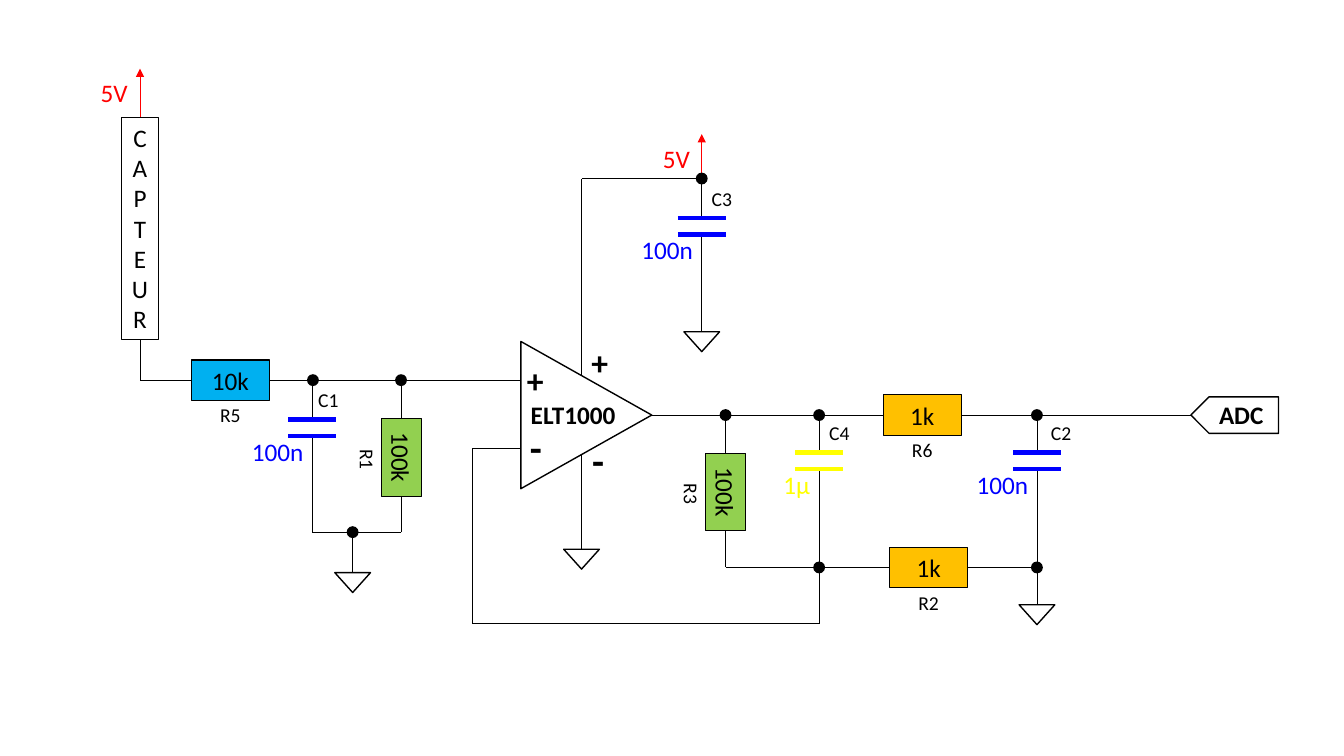
"""Draw the sensor amplifier circuit as one slide."""
from lxml.etree import SubElement
from pptx import Presentation
from pptx.dml.color import RGBColor
from pptx.enum.shapes import MSO_CONNECTOR as LINK, MSO_SHAPE as SHAPE
from pptx.enum.text import MSO_AUTO_SIZE as FIT, PP_ALIGN as ALIGN
from pptx.oxml.ns import qn
from pptx.util import Cm, Pt

BLACK, WHITE, RED, BLUE = "000000", "FFFFFF", "FF0000", "0000FF"
YELLOW, CYAN, GREEN, AMBER = "FFFF00", "00B0F0", "92D050", "FFC000"

SENSOR = ("CAPTEUR", 3.53, 5.75, 0.92, 5.6)
RESISTOR_SIZE = (1.96, 1.02)
# name, value, centre x, centre y, fill, rotation, outline
RESISTORS = [
    ("R5", "10k", 5.81, 9.58, CYAN, 0, 1),
    ("R1", "100k", 10.12, 11.53, GREEN, 90, 0.75),
    ("R3", "100k", 18.29, 12.4, GREEN, 90, 0.75),
    ("R6", "1k", 23.25, 10.46, AMBER, 0, 0.75),
    ("R2", "1k", 23.41, 14.3, AMBER, 0, 0.75),
]
# name, value, x, wire top, upper plate, wire bottom, colour, name shift, value shift
CAPACITORS = [
    ("C1", "100n", 7.87, 9.58, 10.57, 13.41, BLUE, -0.1, -1.77),
    ("C4", "1µ", 20.65, 10.46, 11.4, 15.72, YELLOW, 0, -1.15),
    ("C2", "100n", 26.14, 10.46, 11.4, 15.24, BLUE, 0.1, -1.77),
    ("C3", "100n", 17.69, 4.5, 5.49, 8.36, BLUE, 0, -1.77),
]
PLATE_HALF, PLATE_GAP = 0.6, 0.42
WIRES = [
    [(3.53, 8.55), (3.53, 9.58), (4.83, 9.58)],
    [(6.79, 9.58), (13.11, 9.58)],
    [(10.12, 9.58), (10.12, 10.55)],
    [(10.12, 12.51), (10.12, 13.41), (7.87, 13.41)],
    [(8.89, 13.41), (8.89, 14.43)],
    [(16.41, 10.46), (22.27, 10.46)],
    [(18.29, 10.46), (18.29, 11.42)],
    [(18.29, 13.38), (18.29, 14.3), (22.43, 14.3)],
    [(24.39, 14.3), (26.14, 14.3)],
    [(24.23, 10.46), (30.02, 10.46)],
    [(13.11, 11.3), (11.91, 11.3), (11.91, 15.72), (20.65, 15.72)],
    [(14.66, 11.43), (14.66, 13.84)],
    [(17.69, 4.5), (14.66, 4.5), (14.66, 9.47)],
]
SUPPLIES = [((3.53, 2.95), (3.53, 1.73)), ((17.69, 4.5), (17.69, 3.38))]
GROUNDS = [(14.66, 13.84), (8.89, 14.43), (26.14, 15.24), (17.69, 8.36)]
JUNCTIONS = [(7.89, 9.58), (10.11, 9.58), (8.89, 13.41), (18.29, 10.46),
             (20.65, 10.46), (26.14, 10.46), (26.14, 14.3), (17.69, 4.5), (20.65, 14.3)]
AMPLIFIER = (14.78, 10.46, 3.71, 3.3)
OUTPUT_TAG = [(32.23, 10.92), (32.23, 10), (30.48, 10), (30.02, 10.46), (30.48, 10.92)]
# text, left, top, width, height, size, colour, bold
LABELS = [
    ("5V", 2.29, 1.83, 1.98, 1.02, 18, RED, False),
    ("5V", 16.46, 3.48, 1.98, 1.02, 18, RED, False),
    ("-", 13.11, 10.54, 1.09, 1.45, 28, BLACK, True),
    ("+", 13.03, 8.94, 0.94, 1.27, 24, BLACK, True),
    ("+", 14.66, 8.48, 0.94, 1.27, 24, BLACK, True),
    ("-", 14.68, 10.87, 0.94, 1.45, 28, BLACK, True),
    ("ELT1000", 13.13, 9.93, 2.77, 1.02, 18, BLACK, True),
    ("ADC", 30.48, 9.95, 1.78, 1.02, 18, BLACK, True),
]

deck = Presentation()
deck.slide_width, deck.slide_height = Cm(33.88), Cm(19.05)
page = deck.slides.add_slide(deck.slide_layouts[6])
ports = {}


def color(value):
    return RGBColor.from_string(value)


def style(shape, fill=None, outline=None):
    shape.shadow.inherit = False
    if fill:
        shape.fill.solid()
        shape.fill.fore_color.rgb = color(fill)
    else:
        shape.fill.background()
    if outline:
        shape.line.color.rgb = color(BLACK)
        shape.line.width = Pt(outline)
    else:
        shape.line.fill.background()


def write(shape, text, size=18, ink=BLACK, bold=False, align=ALIGN.LEFT, wrap=True):
    frame = shape.text_frame
    frame.word_wrap, frame.auto_size = wrap, FIT.SHAPE_TO_FIT_TEXT
    para = frame.paragraphs[0]
    para.text, para.alignment = text, align
    para.font.name, para.font.size, para.font.bold = "Calibri", Pt(size), bold
    para.font.color.rgb = color(ink)


def label(text, left, top, width, height, size=18, ink=BLACK, bold=False, wrap=True, turn=0):
    box = page.shapes.add_textbox(Cm(left), Cm(top), Cm(width), Cm(height))
    box.rotation = turn
    write(box, text, size, ink, bold, wrap=wrap)


def name_tag(text, x, y, turn=0):
    label(text, x - 0.51, y - 0.43, 1.02, 0.86, 14, wrap=False, turn=turn)


def centred(kind, x, y, width, height, fill=None, outline=None, turn=0):
    shape = page.shapes.add_shape(kind, Cm(x - width / 2), Cm(y - height / 2),
                                  Cm(width), Cm(height))
    shape.rotation = turn
    style(shape, fill, outline)
    return shape


def block(text, x, y, width, height, fill=None, outline=0.75, turn=0):
    box = centred(SHAPE.RECTANGLE, x, y, width, height, fill, outline, turn)
    write(box, text, align=ALIGN.CENTER)
    sides = [(0, -height / 2), (-width / 2, 0), (0, height / 2), (width / 2, 0)]
    for site, (dx, dy) in enumerate(sides):
        if turn == 90:
            dx, dy = -dy, dx
        ports[round(x + dx, 2), round(y + dy, 2)] = box, site


def wire(start, end, ink=BLACK, width=0.5, arrow=False):
    link = page.shapes.add_connector(LINK.STRAIGHT, *map(Cm, start + end))
    if start in ports:
        link.begin_connect(*ports[start])
    if end in ports:
        link.end_connect(*ports[end])
    link.begin_x, link.begin_y = map(Cm, start)
    link.end_x, link.end_y = map(Cm, end)
    link.line.color.rgb = color(ink)
    link.line.width = Pt(width)
    if arrow:
        SubElement(link.line._get_or_add_ln(), qn("a:tailEnd"), type="triangle")
    SubElement(link._element.spPr, qn("a:effectLst"))


block(*SENSOR)
for name, value, x, y, fill, turn, outline in RESISTORS:
    block(value, x, y, *RESISTOR_SIZE, fill, outline, turn)
    dx, dy = (-0.86, 0.05) if turn else (0, 0.89)
    name_tag(name, x + dx, y + dy, turn)

for points in WIRES:
    for start, end in zip(points, points[1:]):
        wire(start, end)
for start, end in SUPPLIES:
    wire(start, end, RED, arrow=True)

for name, value, x, top, plate, bottom, ink, name_dx, value_dx in CAPACITORS:
    wire((x, top), (x, plate))
    wire((x, plate + PLATE_GAP), (x, bottom))
    for y in (plate, plate + PLATE_GAP):
        wire((x - PLATE_HALF, y), (x + PLATE_HALF, y), ink, 3)
    name_tag(name, x + name_dx + 0.51, plate - 0.48)
    label(value, x + value_dx, plate + 0.3, 1.98 if len(value) > 2 else 1.24, 1.02, ink=ink)

centred(SHAPE.ISOSCELES_TRIANGLE, *AMPLIFIER, outline=1, turn=90)
for x, top in GROUNDS:
    centred(SHAPE.ISOSCELES_TRIANGLE, x, top + 0.25, 0.9, 0.5, WHITE, 1, 180)
for x, y in JUNCTIONS:
    centred(SHAPE.FLOWCHART_CONNECTOR, x, y, 0.3, 0.3, BLACK)

corners = [(Cm(x), Cm(y)) for x, y in OUTPUT_TAG]
builder = page.shapes.build_freeform(*corners[0])
builder.add_line_segments(corners[1:], close=True)
style(builder.convert_to_shape(), WHITE, 1)
for entry in LABELS:
    label(*entry)

deck.save("out.pptx")
